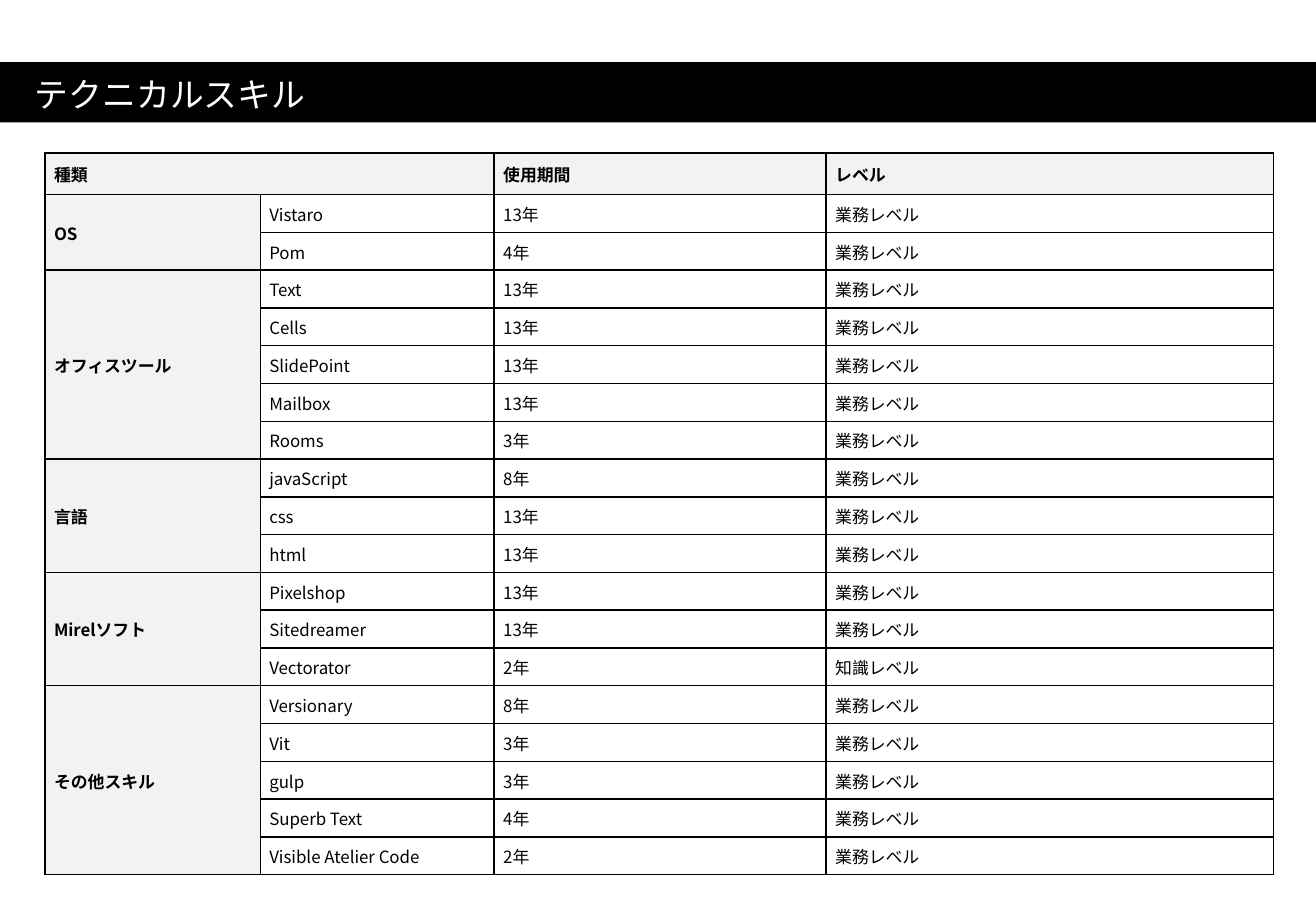
from dataclasses import dataclass
from typing import NamedTuple

from lxml import etree
from pptx import Presentation
from pptx import util as u
from pptx.dml.color import RGBColor
from pptx.enum import text as t
from pptx.oxml import ns


@dataclass(frozen=True)
class Theme:
    """Colours, type sizes and line weights of the page."""
    font: str = "Noto Sans CJK JP"
    ink: RGBColor = RGBColor(0x00, 0x00, 0x00)
    paper: RGBColor = RGBColor(0xFF, 0xFF, 0xFF)
    label: RGBColor = RGBColor(0xF2, 0xF2, 0xF2)
    title_size: int = 20
    body_size: int = 10
    line_pitch: int = 15
    border: int = 1


class Skill(NamedTuple):
    """One tool with its years of use and level."""
    name: str
    years: int
    level: str = "業務レベル"


class Group(NamedTuple):
    """A kind of skill and the tools that belong to it."""
    name: str
    skills: list[Skill]


THEME = Theme()
TITLE = "テクニカルスキル"
COLUMN_WIDTHS = (4.5, 4.89, 6.94, 9.35)
HEADER_HEIGHT, ROW_HEIGHT = 0.87, 0.79
GROUPS = [
    Group("OS", [Skill("Vistaro", 13), Skill("Pom", 4)]),
    Group("オフィスツール", [
        Skill("Text", 13), Skill("Cells", 13), Skill("SlidePoint", 13),
        Skill("Mailbox", 13), Skill("Rooms", 3)]),
    Group("言語", [Skill("javaScript", 8), Skill("css", 13), Skill("html", 13)]),
    Group("Mirel ソフト".replace(" ", ""), [
        Skill("Pixelshop", 13), Skill("Sitedreamer", 13),
        Skill("Vectorator", 2, "知識レベル")]),
    Group("その他スキル", [
        Skill("Versionary", 8), Skill("Vit", 3), Skill("gulp", 3),
        Skill("Superb Text", 4), Skill("Visible Atelier Code", 2)]),
]


def add_span(para, words: str, size: int, color: RGBColor, bold: bool = False) -> None:
    """Add one formatted run to a paragraph."""
    span = para.add_run()
    span.text = words
    font = span.font
    font.name, font.size, font.bold = THEME.font, u.Pt(size), bold
    font.color.rgb = color
    east_asian = etree.SubElement(span._r.get_or_add_rPr(), ns.qn("a:ea"))
    east_asian.set("typeface", THEME.font)


def add_borders(cell) -> None:
    """Draw the four borders of a cell."""
    properties = cell._tc.get_or_add_tcPr()
    for side in ("lnL", "lnR", "lnT", "lnB"):
        line = etree.SubElement(properties, ns.qn(f"a:{side}"), w=str(u.Pt(THEME.border)))
        fill = etree.SubElement(line, ns.qn("a:solidFill"))
        etree.SubElement(fill, ns.qn("a:srgbClr"), val=str(THEME.ink))


def fill_cell(cell, words: str, is_label: bool = False) -> None:
    """Write a cell, shaded and bold when it is a label."""
    if is_label:
        cell.fill.solid()
        cell.fill.fore_color.rgb = THEME.label
    cell.vertical_anchor = t.MSO_ANCHOR.MIDDLE
    cell.margin_left = cell.margin_right = u.Cm(0.19)
    cell.margin_top = cell.margin_bottom = u.Cm(0)
    para = cell.text_frame.paragraphs[0]
    para.line_spacing = u.Pt(THEME.line_pitch)
    add_span(para, words, THEME.body_size, THEME.ink, is_label)


def format_title(box) -> None:
    """Turn the title placeholder into the full-width black bar."""
    box.left, box.top = u.Cm(0), u.Cm(1.3)
    box.width, box.height = deck.slide_width, u.Cm(1.26)
    box.fill.solid()
    box.fill.fore_color.rgb = THEME.ink
    frame = box.text_frame
    frame.auto_size = t.MSO_AUTO_SIZE.NONE
    frame.word_wrap = True
    frame.vertical_anchor = t.MSO_ANCHOR.MIDDLE
    frame.margin_left, frame.margin_right = u.Cm(0.73), u.Cm(0.25)
    frame.margin_top, frame.margin_bottom = u.Cm(0.3), u.Cm(0.13)
    para = frame.paragraphs[0]
    para.alignment = t.PP_ALIGN.LEFT
    para.line_spacing, para.space_before = 0.9, u.Pt(10)
    add_span(para, TITLE, THEME.title_size, THEME.paper)


def add_skill_table(page) -> None:
    """Add the table, one merged label per group of skills."""
    skill_count = sum(len(group.skills) for group in GROUPS)
    height = HEADER_HEIGHT + ROW_HEIGHT * skill_count
    table = page.shapes.add_table(
        skill_count + 1, len(COLUMN_WIDTHS), u.Cm(0.94), u.Cm(3.2),
        u.Cm(sum(COLUMN_WIDTHS)), u.Cm(height)).table
    table.first_row = table.horz_banding = False
    for column, width in zip(table.columns, COLUMN_WIDTHS):
        column.width = u.Cm(width)
    for index, row in enumerate(table.rows):
        row.height = u.Cm(ROW_HEIGHT if index else HEADER_HEIGHT)
    for cell in table.iter_cells():
        add_borders(cell)
        cell.fill.background()

    table.cell(0, 0).merge(table.cell(0, 1))
    for column, heading in ((0, "種類"), (2, "使用期間"), (3, "レベル")):
        fill_cell(table.cell(0, column), heading, is_label=True)
    first = 1
    for group in GROUPS:
        last = first + len(group.skills) - 1
        table.cell(first, 0).merge(table.cell(last, 0))
        fill_cell(table.cell(first, 0), group.name, is_label=True)
        for row, skill in enumerate(group.skills, first):
            values = (skill.name, f"{skill.years}年", skill.level)
            for column, value in enumerate(values, 1):
                fill_cell(table.cell(row, column), value)
        first = last + 1


deck = Presentation()
deck.slide_width, deck.slide_height = u.Cm(27.51), u.Cm(19.05)
page = deck.slides.add_slide(deck.slide_layouts.get_by_name("Title Only"))
format_title(page.shapes.title)
add_skill_table(page)
deck.save("out.pptx")
